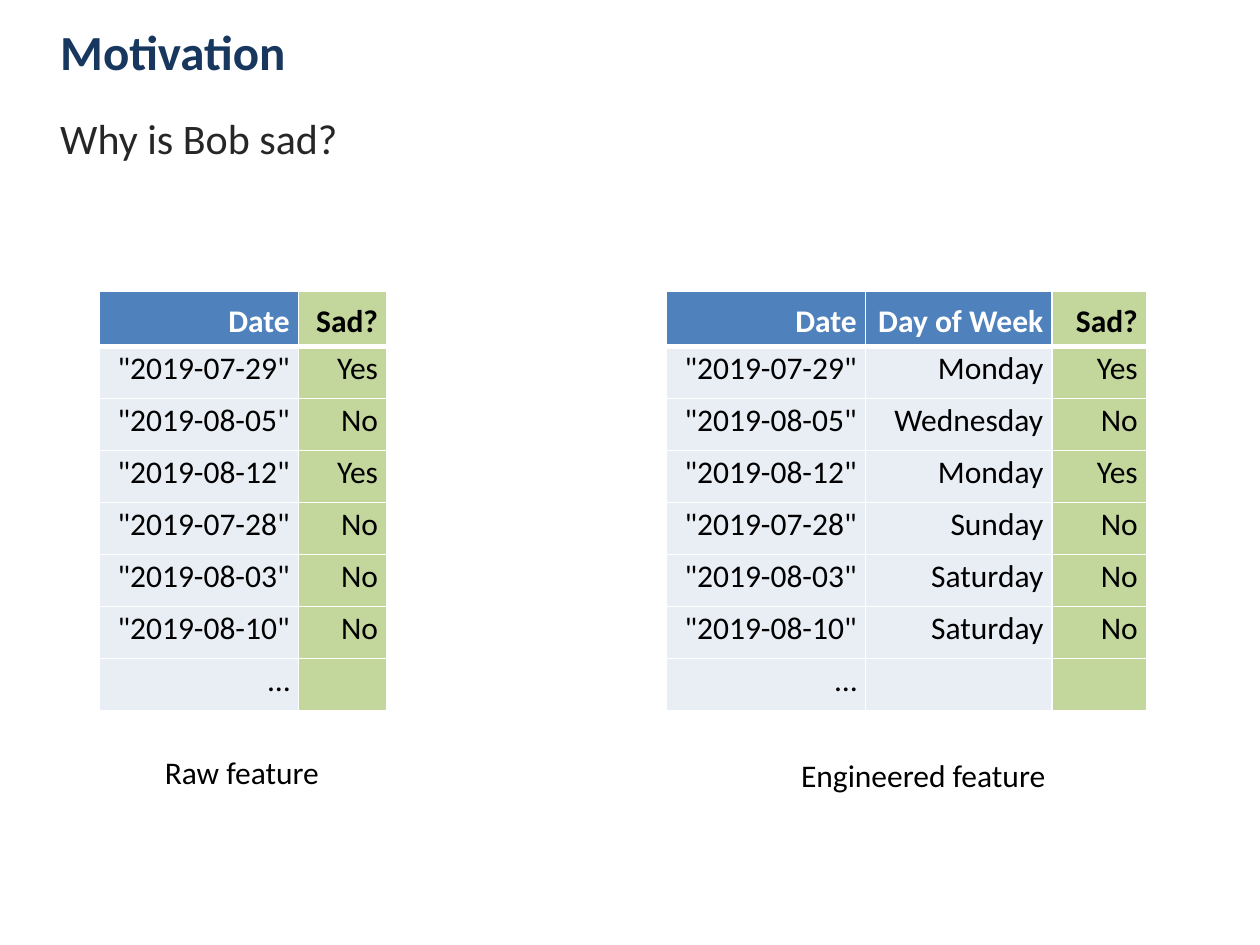
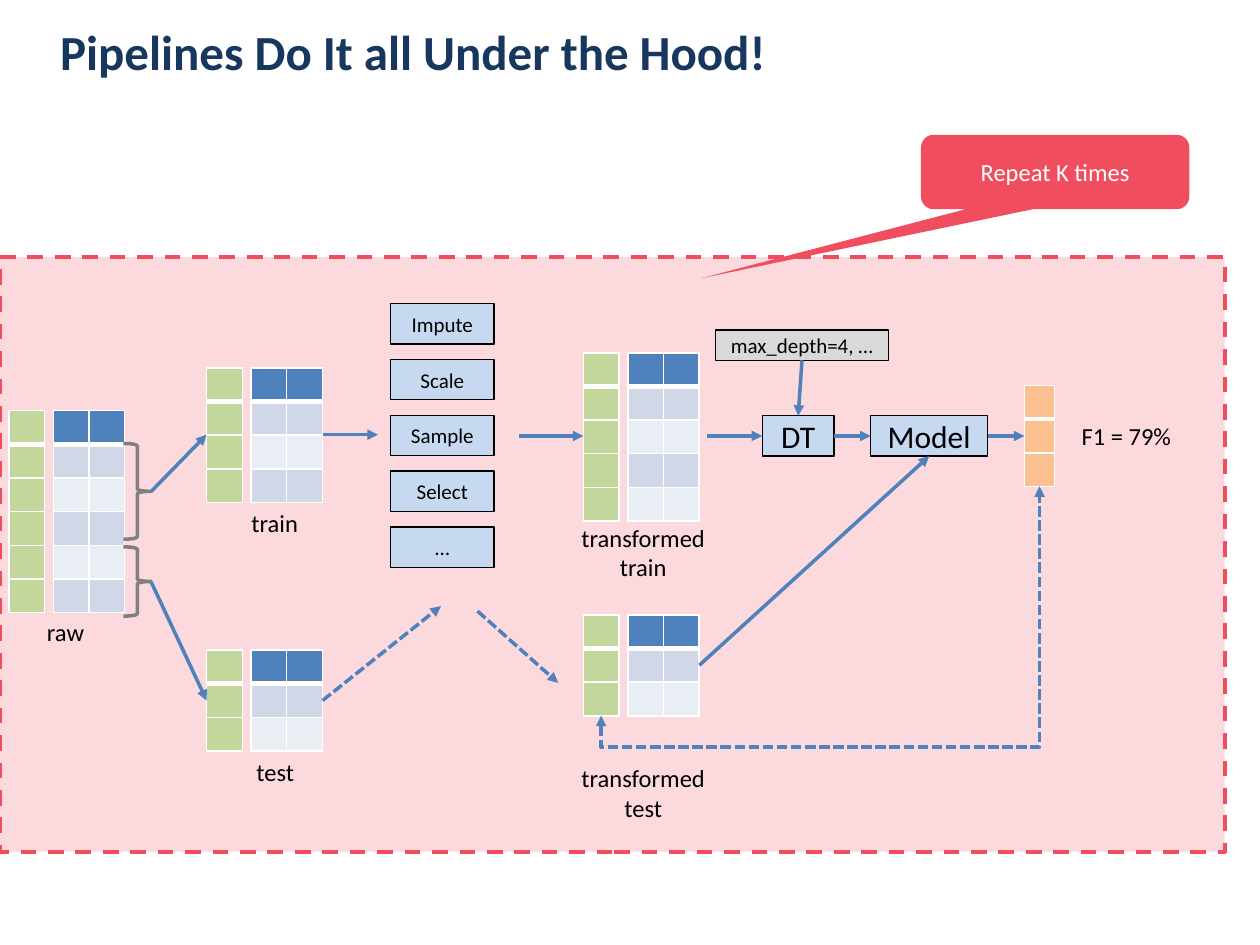
from dataclasses import dataclass
from itertools import cycle, islice

from lxml import etree
from pptx import Presentation
from pptx.dml.color import RGBColor
from pptx.enum.dml import MSO_LINE
from pptx.enum.shapes import MSO_CONNECTOR, MSO_SHAPE
from pptx.enum.text import MSO_ANCHOR, PP_ALIGN
from pptx.oxml.ns import qn
from pptx.util import Inches, Pt

LEFT, CENTER, RIGHT = PP_ALIGN.LEFT, PP_ALIGN.CENTER, PP_ALIGN.RIGHT
TOP, MIDDLE = MSO_ANCHOR.TOP, MSO_ANCHOR.MIDDLE
DASH, SHORT_DASH = MSO_LINE.DASH, MSO_LINE.SQUARE_DOT
STRAIGHT, ELBOW = MSO_CONNECTOR.STRAIGHT, MSO_CONNECTOR.ELBOW
RECTANGLE, BRACE = MSO_SHAPE.RECTANGLE, MSO_SHAPE.RIGHT_BRACE
CALLOUT = MSO_SHAPE.ROUNDED_RECTANGULAR_CALLOUT
SITE_TOP, SITE_LEFT, SITE_BOTTOM, SITE_RIGHT = range(4)
COLUMNS, ROWS = 100, 75


@dataclass(frozen=True)
class Theme:
    font: str = "Calibri"
    title: str = "17375E"
    body: str = "262626"
    black: str = "000000"
    white: str = "FFFFFF"
    blue: str = "4F81BD"
    band_dark: str = "D0D8E8"
    band_light: str = "E9EDF4"
    green: str = "C3D69B"
    orange: str = "FAC090"
    step: str = "C6D9F1"
    setting: str = "D9D9D9"
    red: str = "F04E5E"
    grey: str = "808080"
    title_size: int = 28
    body_size: int = 24
    text_size: int = 18
    label_size: int = 14
    small_size: int = 12
    empty_size: int = 8


THEME = Theme()


def grid(units):
    return Inches(units / 10)


def place(*units):
    return [grid(unit) for unit in units]


def colour(code):
    return RGBColor.from_string(code)


def apply(target, values):
    for name, value in values.items():
        setattr(target, name, value)


def write(frame, text, size, code, align=LEFT, bold=False, spacing=None):
    for index, line in enumerate(text.split("\n")):
        para = frame.add_paragraph() if index else frame.paragraphs[0]
        apply(para, {"alignment": align, "line_spacing": spacing})
        span = para.add_run()
        span.text = line
        apply(span.font, {"name": THEME.font, "size": Pt(size), "bold": bold})
        span.font.color.rgb = colour(code)


def add_text(page, at, text, size, code=THEME.black, align=LEFT,
             bold=False, anchor=TOP, wrap=False):
    box = page.shapes.add_textbox(*place(*at))
    apply(box.text_frame, {"word_wrap": wrap, "vertical_anchor": anchor})
    write(box.text_frame, text, size, code, align, bold)


def add_title(page, text):
    add_text(page, (3.8, 0.5, 82, 7.1), text, THEME.title_size, THEME.title,
             bold=True, anchor=MIDDLE, wrap=True)


def add_box(page, at, fill=None, line=None, width=0.75, kind=RECTANGLE,
            text="", size=THEME.small_size, code=THEME.black):
    box = page.shapes.add_shape(kind, *place(*at))
    box.shadow.inherit = False
    if fill:
        box.fill.solid()
        box.fill.fore_color.rgb = colour(fill)
    else:
        box.fill.background()
    if line:
        box.line.color.rgb = colour(line)
        box.line.width = Pt(width)
    else:
        box.line.fill.background()
    if text:
        apply(box.text_frame, {"word_wrap": True, "vertical_anchor": MIDDLE,
                               "margin_left": 0, "margin_right": 0,
                               "margin_top": 0, "margin_bottom": 0})
        write(box.text_frame, text, size, code, CENTER)
    return box


def add_panel(page, at):
    panel = add_box(page, at, THEME.red, THEME.red, 2.25)
    panel.line.dash_style = DASH
    solid = panel._element.spPr.find(qn("a:solidFill"))
    etree.SubElement(solid[0], qn("a:alpha"), val="21000")


def style_line(connector, dash=None, ends=("tailEnd",)):
    connector.line.color.rgb = colour(THEME.blue)
    connector.line.width = Pt(2)
    if dash:
        connector.line.dash_style = dash
    properties = connector._element.spPr
    line = properties.find(qn("a:ln"))
    for end in ends:
        etree.SubElement(line, qn(f"a:{end}"), type="triangle")
    etree.SubElement(properties, qn("a:effectLst"))


def add_arrow(page, start, finish, dash=None, source=None, target=None):
    arrow = page.shapes.add_connector(STRAIGHT, *place(*start, *finish))
    if source:
        arrow.begin_connect(*source)
    if target:
        arrow.end_connect(*target)
    style_line(arrow, dash)


def add_loop_below(page, start, finish, depth):
    (left, low), (right, high) = start, finish
    middle_x, middle_y = (left + right) / 2, (low + high) / 2
    half_rise, half_run = (low - high) / 2, (right - left) / 2
    loop = page.shapes.add_connector(ELBOW, *place(
        middle_x + half_rise, middle_y + half_run,
        middle_x - half_rise, middle_y - half_run))
    properties = loop._element.spPr
    properties.find(qn("a:xfrm")).set("rot", "5400000")
    adjustments = properties.find(qn("a:prstGeom")).find(qn("a:avLst"))
    share = round(-100000 * depth / (low - high))
    etree.SubElement(adjustments, qn("a:gd"), name="adj1", fmla=f"val {share}")
    style_line(loop, SHORT_DASH, ("headEnd", "tailEnd"))


def style_cell(cell, fill, header):
    properties = cell._tc.get_or_add_tcPr()
    for side in "LRTB":
        width = 3 if header and side == "B" else 1
        border = etree.SubElement(properties, qn(f"a:ln{side}"), w=str(Pt(width)))
        solid = etree.SubElement(border, qn("a:solidFill"))
        etree.SubElement(solid, qn("a:srgbClr"), val=THEME.white)
    cell.fill.solid()
    cell.fill.fore_color.rgb = colour(fill)
    apply(cell, {"margin_left": grid(0.7), "margin_right": grid(0.7),
                 "margin_top": 0, "margin_bottom": 0})


def write_cell(cell, text, fill, header):
    if not text:
        size = str(THEME.empty_size * 100)
        etree.SubElement(cell.text_frame.paragraphs[0]._p, qn("a:endParaRPr"), sz=size)
        return
    cell.vertical_anchor = MIDDLE if header else TOP
    code = THEME.white if fill == THEME.blue else THEME.black
    write(cell.text_frame, text, THEME.text_size, code, RIGHT, header,
          1.15 if header else 1.07)


def add_grid(page, left, top, widths, heights, column_fills, texts=None):
    frame = page.shapes.add_table(
        len(heights), len(widths), *place(left, top, sum(widths), sum(heights)))
    table = frame.table
    apply(table, {"first_row": False, "horz_banding": False})
    for column, width in zip(table.columns, widths):
        column.width = grid(width)
    for row, height in zip(table.rows, heights):
        row.height = grid(height)
    for j, (head, *bands) in enumerate(column_fills):
        fills = [head, *islice(cycle(bands), len(heights) - 1)]
        for i, fill in enumerate(fills):
            cell = table.cell(i, j)
            style_cell(cell, fill, i == 0)
            write_cell(cell, texts[i][j] if texts else "", fill, i == 0)


def add_data_set(page, left, top, rows):
    heights = [2.67] * rows
    feature = (THEME.blue, THEME.band_dark, THEME.band_light)
    add_grid(page, left, top, [2.83], heights, [(THEME.green, THEME.green)])
    add_grid(page, left + 3.53, top, [2.83] * 2, heights, [feature] * 2)


def build_motivation(page):
    add_title(page, "Motivation")
    add_text(page, (3.8, 8.4, 92.4, 9.5), "Why is Bob sad?",
             THEME.body_size, THEME.body, wrap=True)
    engineered = [
        ("Date", "Day of Week", "Sad?"),
        ('"2019-07-29"', "Monday", "Yes"),
        ('"2019-08-05"', "Wednesday", "No"),
        ('"2019-08-12"', "Monday", "Yes"),
        ('"2019-07-28"', "Sunday", "No"),
        ('"2019-08-03"', "Saturday", "No"),
        ('"2019-08-10"', "Saturday", "No"),
        ("…", "", ""),
    ]
    raw = [(date, sad) for date, _, sad in engineered]
    heights = [4.4] + [4.13] * 7
    feature = (THEME.blue, THEME.band_light)
    answer = (THEME.green, THEME.green)
    add_grid(page, 7.9, 23.1, [15.8, 7], heights, [feature, answer], raw)
    add_grid(page, 52.9, 23.1, [15.8, 14.8, 7.5], heights,
             [feature, feature, answer], engineered)
    add_text(page, (12.1, 59.3, 14.4, 4), "Raw feature", THEME.text_size)
    add_text(page, (62.6, 59.5, 21.7, 4), "Engineered feature", THEME.text_size)


def build_pipeline(page):
    add_panel(page, (0, 20.4, 97.2, 47.2))
    add_title(page, "Pipelines Do It all Under the Hood!")

    for left, top, rows in ((0.7, 32.6, 6), (16.4, 29.2, 4), (16.4, 51.6, 3),
                            (46.3, 28, 5), (46.3, 48.8, 3)):
        add_data_set(page, left, top, rows)
    add_grid(page, 81.3, 30.6, [2.4], [2.67] * 3, [(THEME.orange, THEME.orange)])

    for at, label in (((2.5, 48.5, 5.4, 3.4), "raw"),
                      ((18.9, 39.8, 5.8, 3.4), "train"),
                      ((19.3, 59.6, 5.1, 3.4), "test"),
                      ((45.1, 41, 11.9, 5.7), "transformed\ntrain"),
                      ((45.1, 60.1, 11.9, 5.7), "transformed\ntest"),
                      ((81.6, 32.9, 15.6, 3.4), "F1 = 79%")):
        add_text(page, at, label, THEME.label_size, align=CENTER)

    for i, step in enumerate(("Impute", "Scale", "Sample", "Select", "…")):
        add_box(page, (31, 24.1 + 4.43 * i, 8.2, 3.2), THEME.step, THEME.black, text=step)
    setting = add_box(page, (56.8, 26.2, 13.7, 2.4), THEME.setting, THEME.black,
                      text="max_depth=4, …")
    learner, model = [
        add_box(page, (left, 33, width, 3.2), THEME.step, THEME.black,
                text=name, size=THEME.text_size)
        for left, width, name in ((60.5, 5.7, "DT"), (69.1, 9.3, "Model"))]

    for top, height in ((35.2, 7.6), (43.4, 5.5)):
        add_box(page, (9.8, top, 2.2, height), line=THEME.grey, width=2, kind=BRACE)

    add_arrow(page, (12, 39), (16.4, 34.5))
    add_arrow(page, (12, 46.2), (16.4, 55.6))
    add_arrow(page, (25.6, 34.5), (30, 34.5))
    add_arrow(page, (41.2, 34.6), (46.3, 34.6))
    add_arrow(page, (25.6, 55.6), (35, 48.1), SHORT_DASH)
    add_arrow(page, (37.9, 48.5), (44.3, 54.2), SHORT_DASH)
    add_arrow(page, (56.1, 34.6), (60.5, 34.6), target=(learner, SITE_LEFT))
    add_arrow(page, (63.6, 28.6), (63.3, 33),
              source=(setting, SITE_BOTTOM), target=(learner, SITE_TOP))
    add_arrow(page, (66.2, 34.6), (69.1, 34.6),
              source=(learner, SITE_RIGHT), target=(model, SITE_LEFT))
    add_arrow(page, (55.5, 52.8), (73.8, 36.2), target=(model, SITE_BOTTOM))
    add_arrow(page, (78.4, 34.6), (81.3, 34.6), source=(model, SITE_RIGHT))
    add_loop_below(page, (47.7, 56.8), (82.5, 38.6), 2.5)

    callout = add_box(page, (73.1, 10.7, 21.3, 5.9), THEME.red, kind=CALLOUT,
                      text="Repeat K times", size=THEME.label_size, code=THEME.white)
    for index, share in enumerate((-1.32, 1.43, 0.17)):
        callout.adjustments[index] = share


def main():
    deck = Presentation()
    apply(deck, {"slide_width": grid(COLUMNS), "slide_height": grid(ROWS)})
    for build in (build_motivation, build_pipeline):
        build(deck.slides.add_slide(deck.slide_layouts[6]))
    deck.save("out.pptx")


if __name__ == "__main__":
    main()
